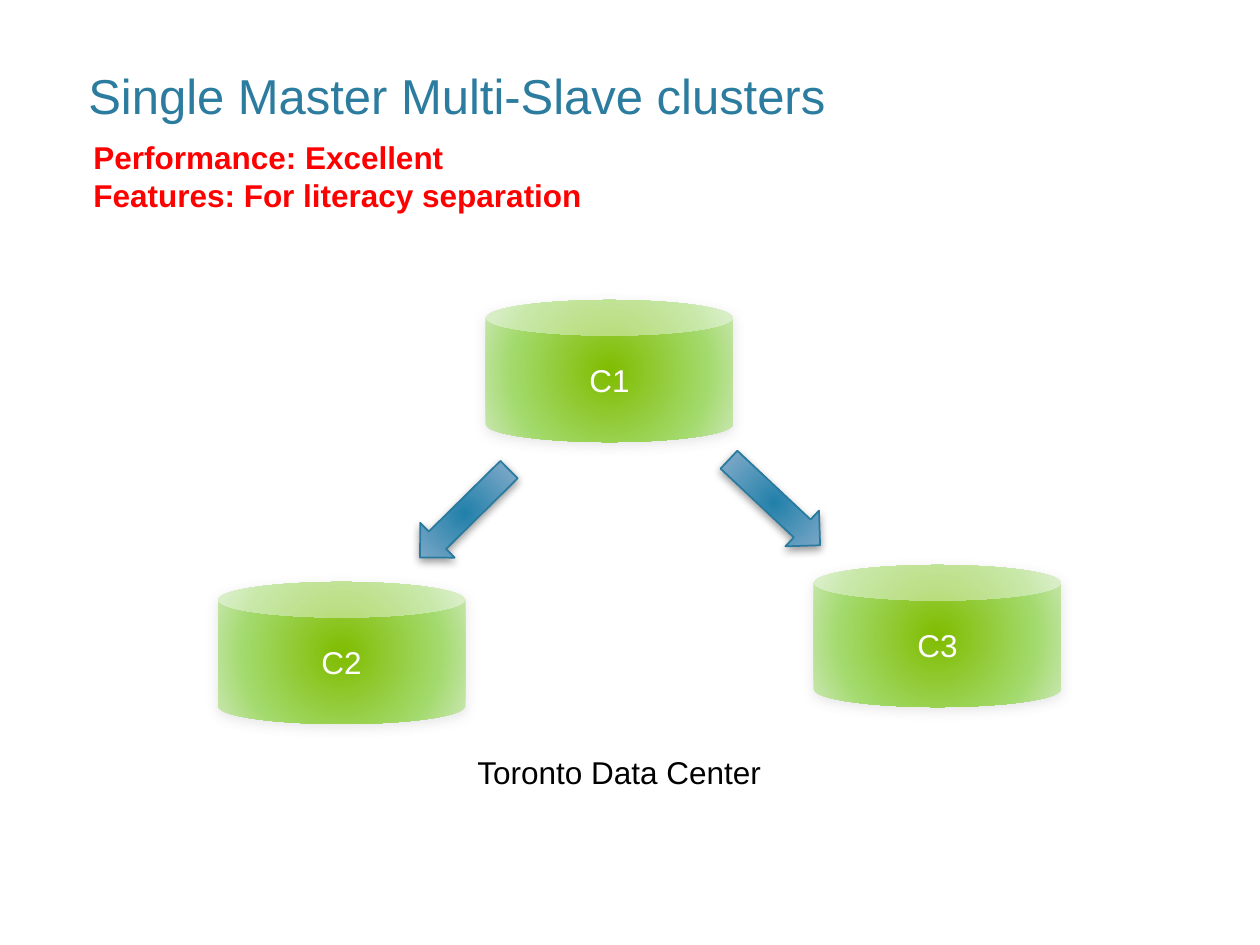
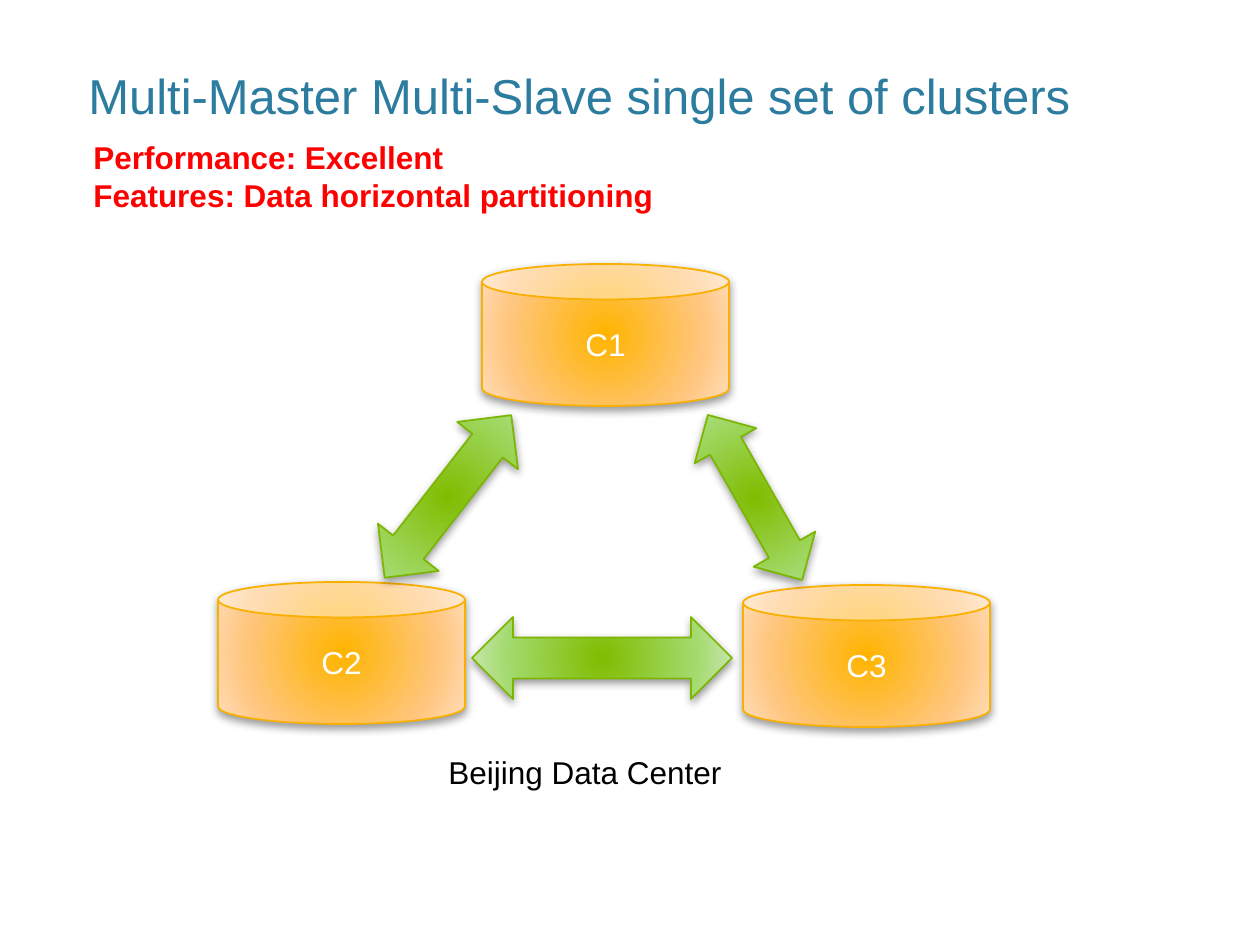
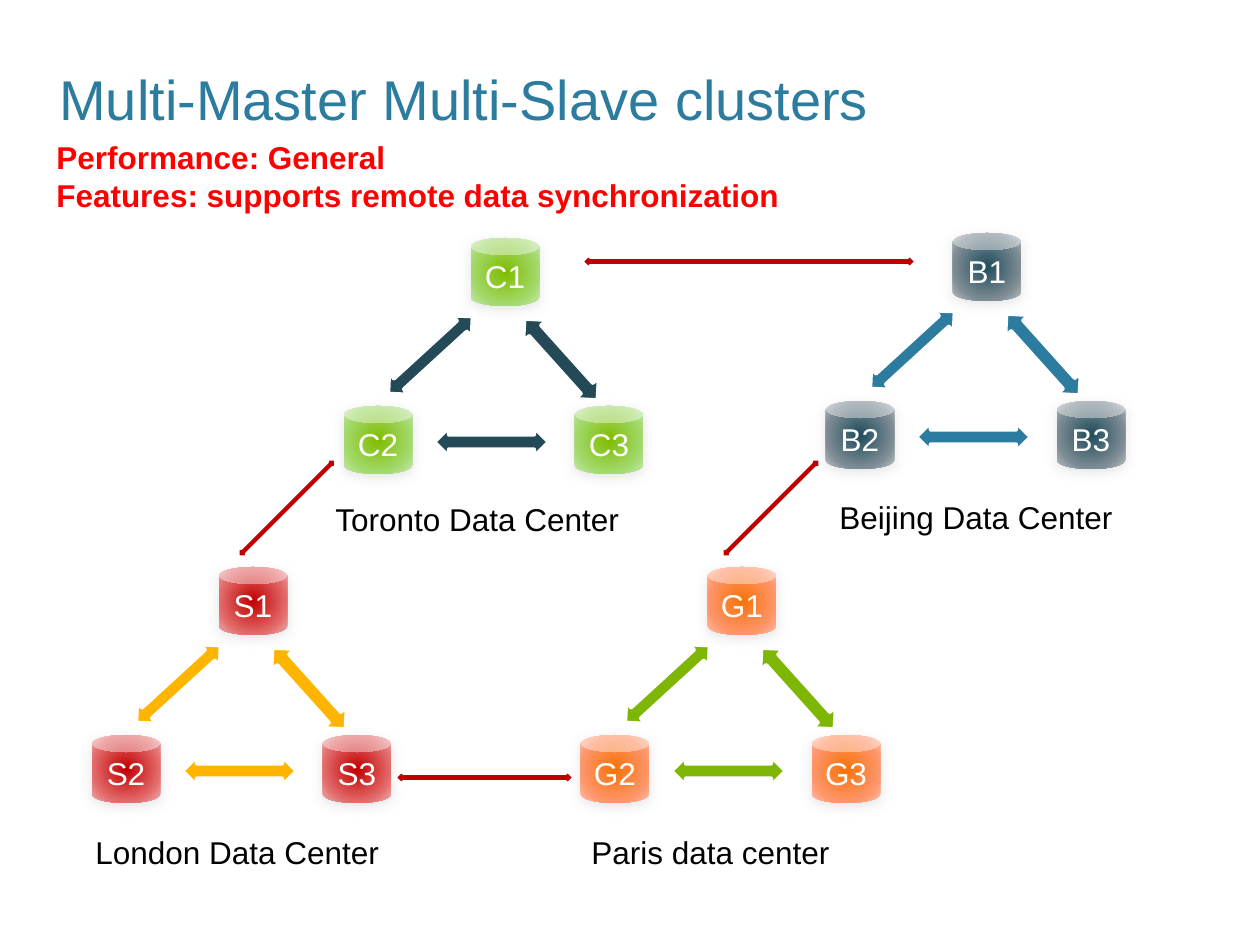
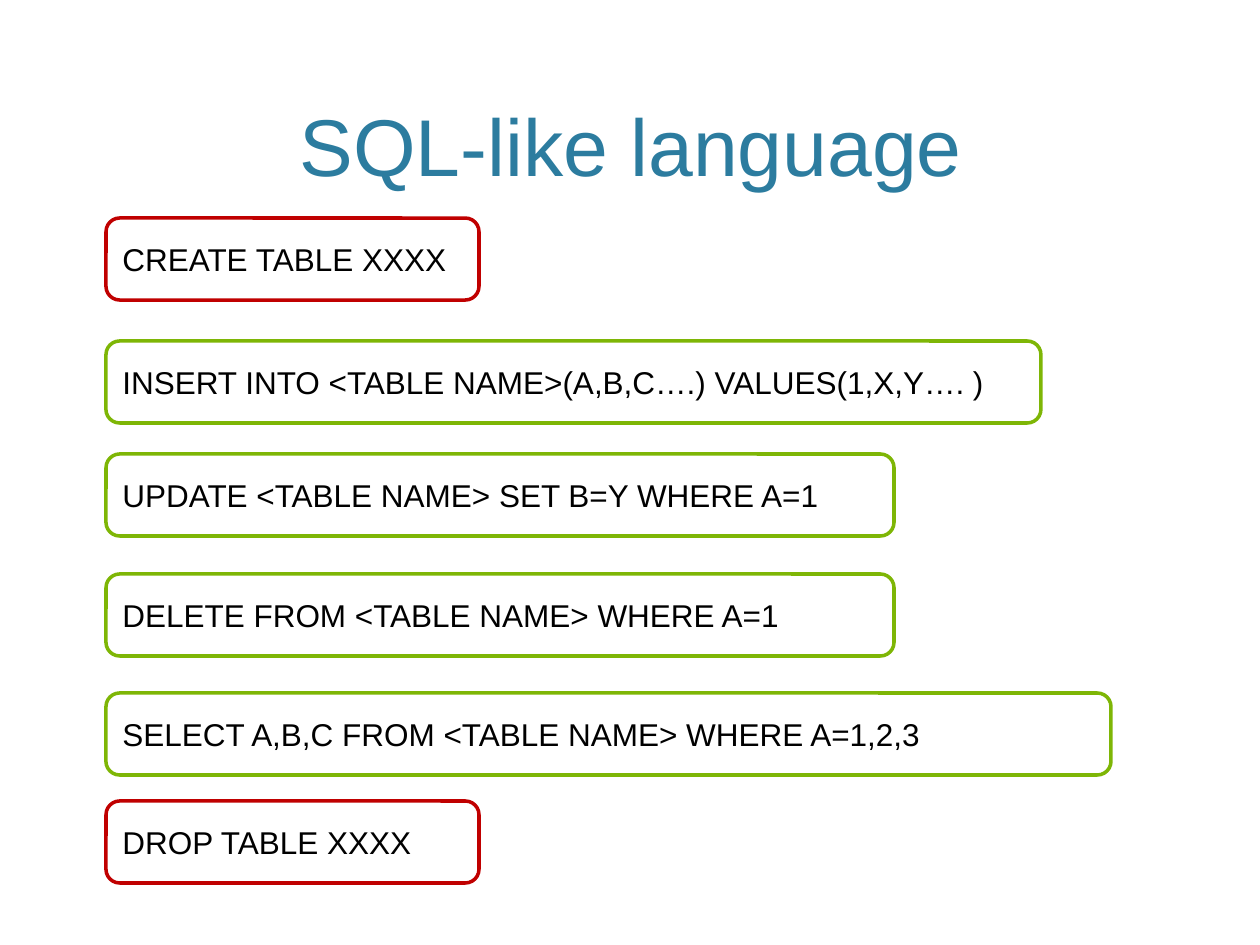
import pptx
import pptx.dml.color
import pptx.enum.shapes
import pptx.enum.text
import pptx.oxml
import pptx.oxml.ns
import pptx.util

SHAPES = pptx.enum.shapes.MSO_SHAPE
ANCHOR = pptx.enum.text.MSO_ANCHOR
ALIGN = pptx.enum.text.PP_ALIGN
FIT = pptx.enum.text.MSO_AUTO_SIZE

FONT = "Arial"
WHITE, BLACK, ALERT = "FFFFFF", "000000", "FF0000"
BLUE, NAVY, LEAF, AMBER, CRIMSON = "2C7C9F", "244A58", "7EB606", "FFB400", "C00000"

GREEN_GLOW = ("80BC00", "A3DA6D", "CBE7B4")
BLUE_GLOW = ("2180AA", "75A5C5", "B8CCDC")
AMBER_GLOW = (AMBER, "FFC67F", "FFDEBD")
RED_GLOW = (CRIMSON, "E36B6B", "ECB3B3")
SLATE_GLOW = ("1F4C5D", "7D8C94", "BCC2C5")
ORANGE_GLOW = ("F67309", "FF9569", "FEC3B0")

SOFT_SHADOW = ("C0C0C0", 7)
FIRM_SHADOW = (BLACK, 5)


def color(value):
    return pptx.dml.color.RGBColor.from_string(value)


def px(pixels):
    return pptx.util.Emu(round(pixels * 914400 / 126))


class Deck:
    """Holds the shared style and the slide being built."""

    def __init__(self):
        self.presentation = pptx.Presentation()
        self.presentation.slide_width = px(1260)
        self.presentation.slide_height = px(945)
        self.slide = None

    def new_slide(self):
        self.slide = self.presentation.slides.add_slide(self.presentation.slide_layouts[6])

    def add_lines(self, frame, lines, size=18, ink=BLACK, bold=False, align=ALIGN.LEFT):
        for index, line in enumerate(lines):
            paragraph = frame.add_paragraph() if index else frame.paragraphs[0]
            paragraph.alignment = align
            run = paragraph.add_run()
            run.text = line
            run.font.name = FONT
            run.font.size = pptx.util.Pt(size)
            run.font.bold = bold
            run.font.color.rgb = color(ink)

    def title(self, text, box=(76, 15, 1109, 116), size=28, align=ALIGN.LEFT):
        frame = self.slide.shapes.add_textbox(*map(px, box)).text_frame
        frame.word_wrap = True
        frame.vertical_anchor = ANCHOR.BOTTOM
        self.add_lines(frame, [text], size, BLUE, align=align)

    def label(self, lines, box, ink=BLACK, bold=False):
        frame = self.slide.shapes.add_textbox(*map(px, box)).text_frame
        frame.word_wrap = False
        frame.auto_size = FIT.SHAPE_TO_FIT_TEXT
        self.add_lines(frame, lines, ink=ink, bold=bold)

    def summary(self, performance, features, left, width):
        lines = [f"Performance: {performance}", f"Features: {features}"]
        self.label(lines, (left, 132, width, 89), ALERT, True)

    def shape(self, kind, box, fill, line=None, weight=1, shadow=None, angle=0):
        shape = self.slide.shapes.add_shape(kind, *map(px, box))
        shape.rotation = angle
        shape.shadow.inherit = False
        if isinstance(fill, tuple):
            self.glow(shape, fill)
        else:
            shape.fill.solid()
            shape.fill.fore_color.rgb = color(fill)
        if line:
            shape.line.color.rgb = color(line)
            shape.line.width = pptx.util.Pt(weight)
        else:
            shape.line.fill.background()
        if shadow:
            self.cast(shape, *shadow)
        return shape

    def glow(self, shape, colors):
        shape.fill.gradient()
        stops = "".join(
            f'<a:gs pos="{place}000"><a:srgbClr val="{value}"/></a:gs>'
            for place, value in zip((0, 69, 100), colors))
        gradient = pptx.oxml.parse_xml(
            f'<a:gradFill {pptx.oxml.ns.nsdecls("a")} rotWithShape="1"><a:gsLst>{stops}</a:gsLst>'
            '<a:path path="circle"><a:fillToRect l="100000" t="100000" r="100000" b="100000"/>'
            '</a:path></a:gradFill>')
        properties = shape._element.spPr
        properties.replace(properties.find(pptx.oxml.ns.qn("a:gradFill")), gradient)

    def cast(self, shape, value, blur):
        shadow = pptx.oxml.parse_xml(
            f'<a:outerShdw {pptx.oxml.ns.nsdecls("a")} blurRad="{pptx.util.Pt(blur)}" '
            f'dist="{pptx.util.Pt(2)}" dir="5400000" rotWithShape="0">'
            f'<a:srgbClr val="{value}"><a:alpha val="40000"/></a:srgbClr></a:outerShdw>')
        shape._element.spPr.find(pptx.oxml.ns.qn("a:effectLst")).append(shadow)

    def node(self, name, left, top, glow, size=(247, 142), line=None, shadow=SOFT_SHADOW):
        can = self.shape(SHAPES.CAN, (left, top, *size), glow, line, shadow=shadow)
        can.text_frame.vertical_anchor = ANCHOR.MIDDLE
        self.add_lines(can.text_frame, [name], ink=WHITE, align=ALIGN.CENTER)

    def glossy_arrow(self, kind, box, glow, line, angle):
        self.shape(kind, box, glow, line, shadow=FIRM_SHADOW, angle=angle)

    def flat_arrow(self, box, fill, angle=0):
        self.shape(SHAPES.LEFT_RIGHT_ARROW, box, fill, WHITE, 2.5, angle=angle)

    def cluster(self, letter, left, top, glow, arrows):
        for number, dx, dy in ((2, -127, 168), (3, 104, 168), (1, 0, 0)):
            self.node(f"{letter}{number}", left + dx, top + dy, glow, (68, 68))
        for dx, dy, width, height, angle in (
                (-98, 102, 115, 30, 317.5), (-37, 189, 115, 30, 0), (35, 105, 110, 33, 228.1)):
            self.flat_arrow((left + dx, top + dy, width, height), arrows, angle)

    def statement(self, text, top, width, line):
        card = self.shape(SHAPES.ROUNDED_RECTANGLE, (106, top, width, 82), WHITE, line, 2)
        card.text_frame.vertical_anchor = ANCHOR.MIDDLE
        self.add_lines(card.text_frame, [text])


deck = Deck()

deck.new_slide()
for name, left, top in (("C2", 218, 582), ("C3", 814, 565), ("C1", 486, 300)):
    deck.node(name, left, top, GREEN_GLOW)
for left, top, angle in ((402, 489, 135.4), (712, 478, 43.2)):
    deck.glossy_arrow(SHAPES.RIGHT_ARROW, (left, top, 125, 49), BLUE_GLOW, "287A9E", angle)
deck.title("Single Master Multi-Slave clusters")
deck.summary("Excellent", "For literacy separation", 81, 522)
deck.label(["Toronto Data Center"], (465, 747, 329, 50))

deck.new_slide()
deck.title("Multi-Master Multi-Slave single set of clusters")
for name, left, top in (("C2", 218, 582), ("C3", 743, 585), ("C1", 482, 264)):
    deck.node(name, left, top, AMBER_GLOW, line="F9B000", shadow=FIRM_SHADOW)
for box, angle in (((345, 458, 206, 77), 307.9), ((472, 617, 260, 82), 0),
                   ((660, 462, 190, 71), 60.3)):
    deck.glossy_arrow(SHAPES.LEFT_RIGHT_ARROW, box, GREEN_GLOW, "7DB602", angle)
deck.summary("Excellent", "Data horizontal partitioning", 81, 602)
deck.label(["Beijing Data Center"], (436, 747, 319, 50))

deck.new_slide()
deck.title("Multi-Master Multi-Slave clusters", (47, 16, 1109, 122), 32)
for letter, left, top, glow, arrows, place, box in (
        ("S", 219, 567, RED_GLOW, AMBER, "London Data Center", (83, 827, 328, 50)),
        ("B", 953, 233, SLATE_GLOW, BLUE, "Beijing Data Center", (827, 492, 319, 50)),
        ("G", 708, 567, ORANGE_GLOW, LEAF, "Paris data center", (579, 827, 284, 50)),
        ("C", 471, 238, GREEN_GLOW, NAVY, "Toronto Data Center", (323, 494, 329, 50))):
    deck.cluster(letter, left, top, glow, arrows)
    deck.label([place], box)
for box, angle in (((581, 252, 336, 19), 0), ((394, 768, 181, 19), 0),
                   ((217, 499, 140, 18), 315), ((701, 499, 140, 18), 315)):
    deck.flat_arrow(box, CRIMSON, angle)
deck.summary("General", "supports remote data synchronization", 44, 759)

deck.new_slide()
deck.title("SQL-like language", (76, 15, 1109, 184), 46, ALIGN.CENTER)
for text, top, width, line in (
        ("CREATE TABLE XXXX", 218, 373, CRIMSON),
        ("INSERT INTO <TABLE NAME>(A,B,C….) VALUES(1,X,Y…. )", 341, 935, LEAF),
        ("UPDATE <TABLE NAME> SET B=Y WHERE A=1", 454, 788, LEAF),
        ("DELETE FROM <TABLE NAME> WHERE A=1", 574, 788, LEAF),
        ("SELECT A,B,C FROM <TABLE NAME> WHERE A=1,2,3", 693, 1005, LEAF),
        ("DROP TABLE XXXX", 801, 373, CRIMSON)):
    deck.statement(text, top, width, line)

deck.presentation.save("out.pptx")
